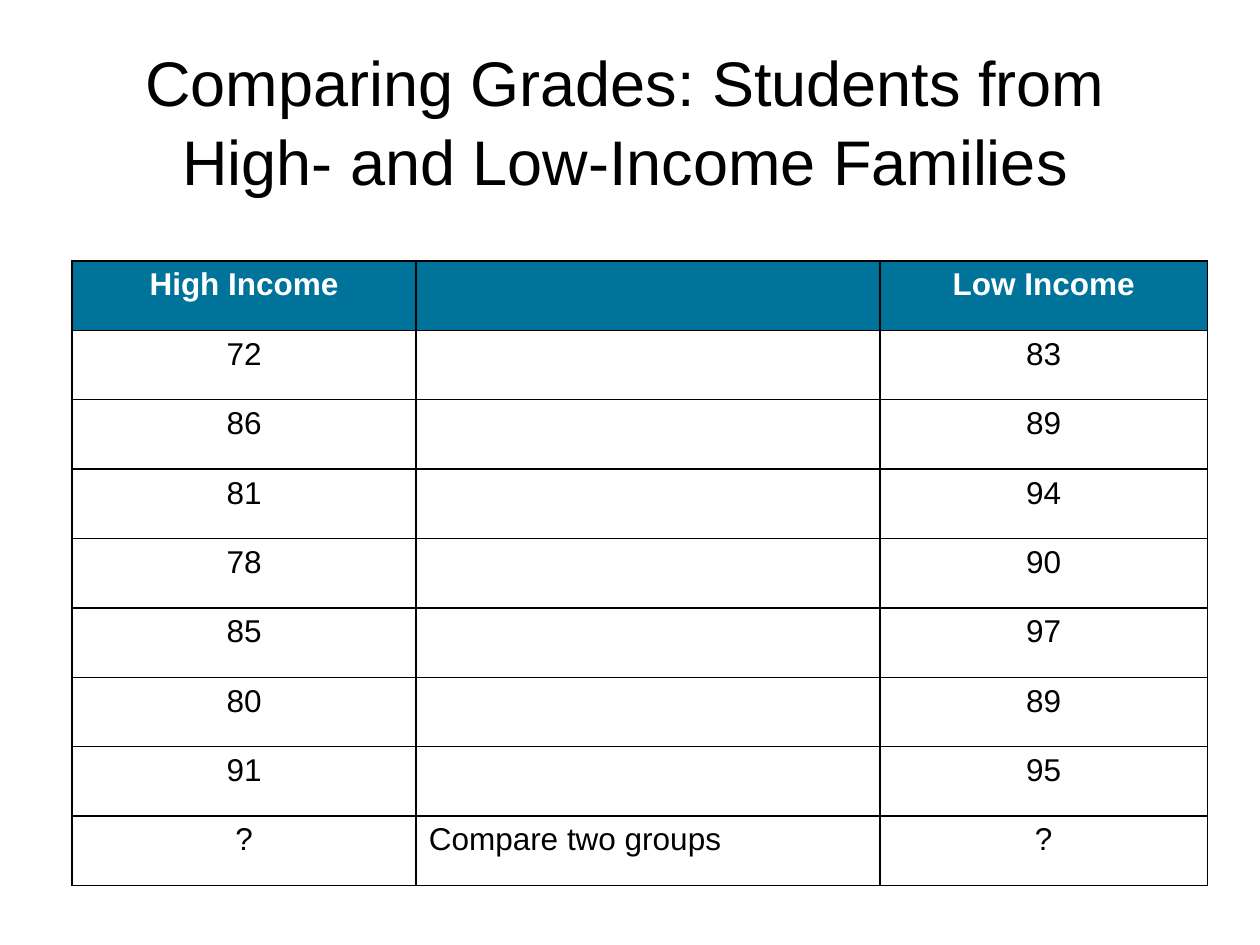
from dataclasses import dataclass

from lxml import etree
from pptx import Presentation
from pptx import util as u
from pptx.dml.color import RGBColor
from pptx.enum import text
from pptx.oxml import ns

COLORS = {"text": "000000", "header": "00739B", "header_text": "FFFFFF", "border": "000000"}
FONT = "Arial"
LEFT = u.Cm(1.45)
COLUMN_WIDTHS = [u.Cm(6.94), u.Cm(9.35), u.Cm(6.6)]
ROW_HEIGHT = u.Cm(1.4)


@dataclass
class GradeRow:
    high: str
    low: str
    note: str = ""
    header: bool = False


ROWS = [
    GradeRow("High Income", "Low Income", header=True),
    GradeRow("72", "83"),
    GradeRow("86", "89"),
    GradeRow("81", "94"),
    GradeRow("78", "90"),
    GradeRow("85", "97"),
    GradeRow("80", "89"),
    GradeRow("91", "95"),
    GradeRow("?", "?", note="Compare two groups"),
]


def color(name: str) -> RGBColor:
    return RGBColor.from_string(COLORS[name])


def set_font(p, size: float, color_name: str, bold: bool = False) -> None:
    p.font.name = FONT
    p.font.size = u.Pt(size)
    p.font.bold = bold
    p.font.color.rgb = color(color_name)


def add_borders(cell) -> None:
    """Draw a thin line on all four sides; call before setting the fill."""
    tc_pr = cell._tc.get_or_add_tcPr()
    for side in ("a:lnL", "a:lnR", "a:lnT", "a:lnB"):
        ln = etree.SubElement(tc_pr, ns.qn(side), w=str(u.Pt(1)))
        fill = etree.SubElement(ln, ns.qn("a:solidFill"))
        etree.SubElement(fill, ns.qn("a:srgbClr"), val=COLORS["border"])


def format_cell(cell, value: str, header: bool, centered: bool) -> None:
    add_borders(cell)
    if header:
        cell.fill.solid()
        cell.fill.fore_color.rgb = color("header")
    else:
        cell.fill.background()
    p = cell.text_frame.paragraphs[0]
    if value:
        p.text = value
    if centered:
        p.alignment = text.PP_ALIGN.CENTER
    set_font(p, 18, "header_text" if header else "text", header)


def add_title(slide, title: str) -> None:
    sp = slide.shapes.title
    sp.left, sp.top, sp.width, sp.height = LEFT, u.Cm(1), u.Cm(22.3), u.Cm(2.8)
    tf = sp.text_frame
    tf.text = title
    tf.word_wrap = True
    tf.auto_size = text.MSO_AUTO_SIZE.NONE
    tf.vertical_anchor = text.MSO_ANCHOR.MIDDLE
    p = tf.paragraphs[0]
    p.alignment = text.PP_ALIGN.CENTER
    p.line_spacing = 1.05
    set_font(p, 36, "text")


def add_grade_table(slide, rows: list[GradeRow]) -> None:
    frame = slide.shapes.add_table(
        len(rows), len(COLUMN_WIDTHS), LEFT, u.Cm(5.26),
        sum(COLUMN_WIDTHS), ROW_HEIGHT * len(rows))
    table = frame.table
    table.horz_banding = False
    for column, width in zip(table.columns, COLUMN_WIDTHS):
        column.width = width
    for table_row, row in zip(table.rows, rows):
        table_row.height = ROW_HEIGHT
        for cell, value in zip(table_row.cells, (row.high, row.note, row.low)):
            format_cell(cell, value, row.header, centered=value != row.note)


def main() -> None:
    prs = Presentation()
    prs.slide_width, prs.slide_height = u.Cm(25.4), u.Cm(19.05)
    slide = prs.slides.add_slide(prs.slide_layouts[5])
    add_title(slide, "Comparing Grades: Students from High- and Low-Income Families")
    add_grade_table(slide, ROWS)
    prs.save("out.pptx")


if __name__ == "__main__":
    main()
